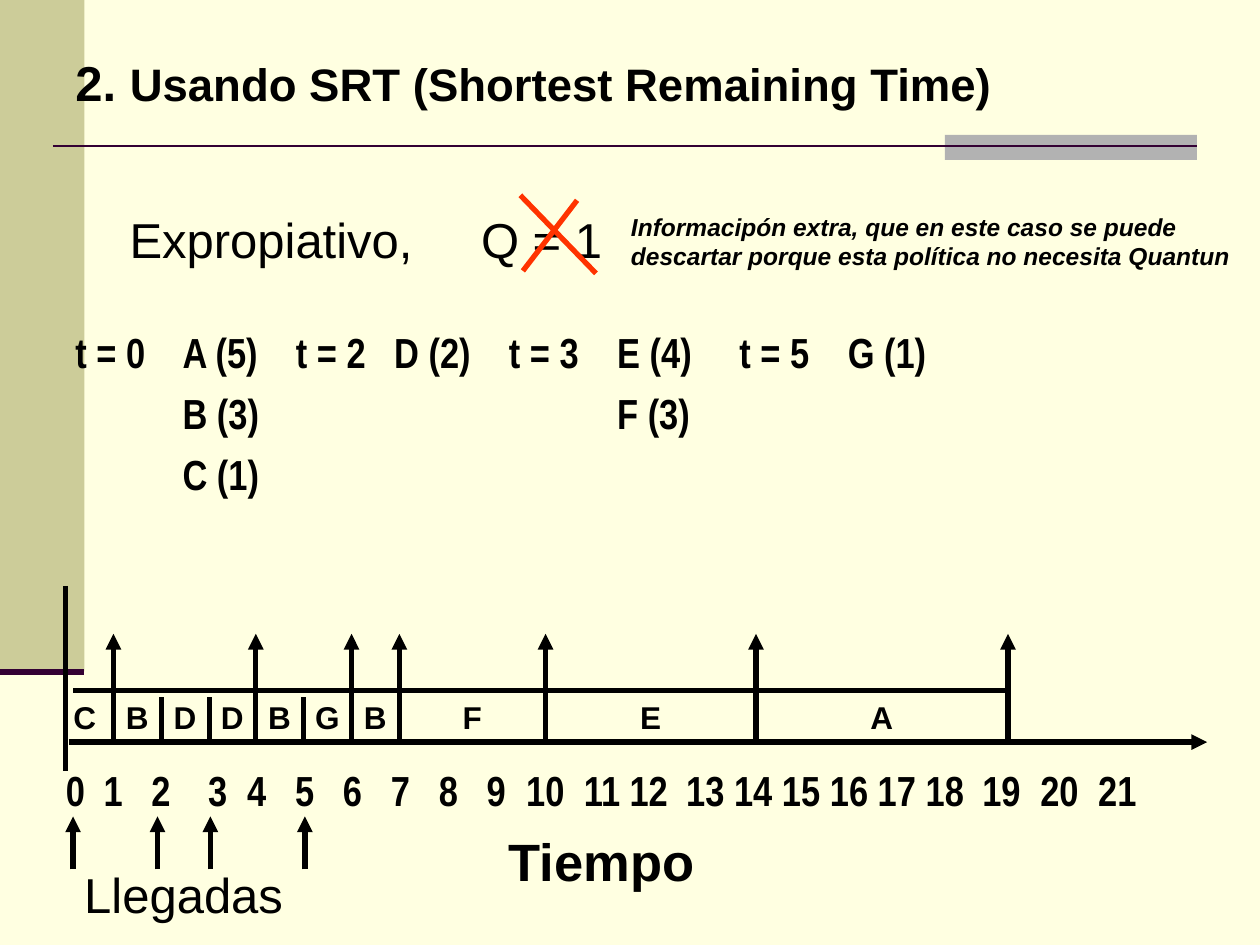
from dataclasses import dataclass

from lxml.etree import SubElement
from pptx import Presentation
from pptx.dml.color import RGBColor
from pptx.enum.shapes import MSO_CONNECTOR, MSO_SHAPE
from pptx.oxml.ns import qn
from pptx.util import Inches, Pt

COLORS = {
    "background": "FFFFE1",
    "band": "CCCC99",
    "accent": "B2B2B2",
    "rule": "330033",
    "cross": "FF3300",
    "ink": "000000",
}
INSET = 0.1


@dataclass
class Slot:
    process: str
    end: float
    finishes: bool = True


@dataclass
class Line:
    """One paragraph; tabs are inches from the text's left edge."""
    text: str
    size: float
    font: str = "Arial"
    bold: bool = True
    italic: bool = False
    tabs: tuple = ()
    tab_align: str = "l"
    before: float = 0
    spacing: float = 1.0


SLOTS = [
    Slot("C", 0.9), Slot("B", 1.28, False), Slot("D", 1.66, False),
    Slot("D", 2.03), Slot("B", 2.41, False), Slot("G", 2.79),
    Slot("B", 3.17), Slot("F", 4.33), Slot("E", 6), Slot("A", 8),
]
CHART_START = 0.45
TIME_CENTERS = [
    0.6, 0.9, 1.28, 1.73, 2.04, 2.42, 2.8, 3.18, 3.56, 3.94, 4.33,
    4.78, 5.15, 5.6, 5.98, 6.36, 6.74, 7.12, 7.5, 7.95, 8.41, 8.87,
]
ARRIVALS = [0.58, 1.25, 1.67, 2.42]
ARRIVAL_TABS = (0.85, 1.75, 2.53, 3.44, 4.3, 5.27, 6.13)


def color(name: str) -> RGBColor:
    return RGBColor.from_string(COLORS[name])


def add_block(slide, left: float, top: float, width: float, height: float, fill: str) -> None:
    shape = slide.shapes.add_shape(
        MSO_SHAPE.RECTANGLE, Inches(left), Inches(top), Inches(width), Inches(height))
    shape.shadow.inherit = False
    shape.fill.solid()
    shape.fill.fore_color.rgb = color(fill)
    shape.line.fill.background()


def add_line(slide, start: tuple, end: tuple, ink: str = "ink",
             width: float = 3, arrow: bool = False) -> None:
    connector = slide.shapes.add_connector(
        MSO_CONNECTOR.STRAIGHT, *(Inches(value) for value in (*start, *end)))
    connector.line.color.rgb = color(ink)
    connector.line.width = Pt(width)
    if arrow:
        SubElement(connector.line._get_or_add_ln(), qn("a:tailEnd"), type="triangle")
    SubElement(connector._element.spPr, qn("a:effectLst"))


def add_tabs(paragraph, line: Line) -> None:
    tab_list = SubElement(paragraph._p.get_or_add_pPr(), qn("a:tabLst"))
    for position in line.tabs:
        SubElement(tab_list, qn("a:tab"), pos=str(Inches(position)), algn=line.tab_align)


def add_text(slide, left: float, top: float, width: float, height: float, lines: list):
    box = slide.shapes.add_textbox(Inches(left), Inches(top), Inches(width), Inches(height))
    frame = box.text_frame
    frame.word_wrap = True
    frame.text = "\n".join(line.text for line in lines)
    for paragraph, line in zip(frame.paragraphs, lines):
        if line.tabs:
            add_tabs(paragraph, line)
        if line.before:
            paragraph.space_before = Pt(line.before)
        paragraph.line_spacing = line.spacing
        for run in paragraph.runs:
            run.font.name = line.font
            run.font.size = Pt(line.size)
            run.font.bold = line.bold
            run.font.italic = line.italic
            run.font.color.rgb = color("ink")
    return frame


def add_centered_labels(slide, left: float, top: float, width: float, height: float,
                        labels: list, centers: list, size: float, font: str) -> None:
    """Put each label on a centred tab stop at its slide position."""
    tabs = tuple(center - left - INSET for center in centers)
    text = "".join(f"\t{label}" for label in labels)
    add_text(slide, left, top, width, height,
             [Line(text, size, font, tabs=tabs, tab_align="ctr")])


def add_background(slide) -> None:
    slide.background.fill.solid()
    slide.background.fill.fore_color.rgb = color("background")
    add_block(slide, 0, 0, 0.67, 5.33, "band")
    add_block(slide, 7.5, 1.07, 2, 0.2, "accent")
    add_line(slide, (0.42, 1.16), (9.5, 1.16), "rule", 1.5)
    add_line(slide, (0, 5.33), (0.67, 5.33), "rule", 3.5)


def add_problem(slide) -> None:
    def arrival(text: str, before: float = 6) -> Line:
        return Line(text, 24, "Arial Narrow", tabs=ARRIVAL_TABS, before=before)

    frame = add_text(slide, 0.5, 0.42, 9.45, 3.84, [
        Line("2. ", 28, spacing=0.9),
        Line("\tExpropiativo,\tQ = 1", 28, bold=False, tabs=(0.43, 3.22),
             before=62, spacing=0.8),
        arrival("t = 0\tA (5)\tt = 2\tD (2)\tt = 3\tE (4)\tt = 5\tG (1)", 33.5),
        arrival("\tB (3)\t\t\t\tF (3)"),
        arrival("\tC (1)"),
    ])
    title = frame.paragraphs[0].add_run()
    title.text = "Usando SRT (Shortest Remaining Time)"
    title.font.name = "Arial"
    title.font.size = Pt(26)
    title.font.bold = True
    title.font.color.rgb = color("ink")

    add_line(slide, (4.13, 1.55), (4.73, 2.17), "cross")
    add_line(slide, (4.58, 1.59), (4.15, 2.15), "cross")
    add_text(slide, 4.91, 1.63, 5, 0.57, [
        Line("Informacipón extra, que en este caso se puede", 14, italic=True),
        Line("descartar porque esta política no necesita Quantun", 14, italic=True),
    ])


def add_timeline(slide) -> None:
    add_line(slide, (0.55, 5.89), (9.58, 5.89), arrow=True)
    add_line(slide, (0.52, 4.65), (0.52, 6.12))
    add_line(slide, (0.58, 5.48), (8, 5.48))
    for slot in SLOTS:
        top = 5.03 if slot.finishes else 5.53
        add_line(slide, (slot.end, 5.87), (slot.end, top), arrow=slot.finishes)

    starts = [CHART_START] + [slot.end for slot in SLOTS[:-1]]
    middles = [(start + slot.end) / 2 for start, slot in zip(starts, SLOTS)]
    add_centered_labels(slide, 0.3, 5.49, 7.2, 0.4,
                        [slot.process for slot in SLOTS], middles, 18, "Arial")
    add_centered_labels(slide, 0.27, 6.02, 9, 0.5,
                        list(range(len(TIME_CENTERS))), TIME_CENTERS, 24, "Arial Narrow")

    add_text(slide, 3.94, 6.53, 1.75, 0.6, [Line("Tiempo", 30)])
    for arrival in ARRIVALS:
        add_line(slide, (arrival, 6.9), (arrival, 6.48), arrow=True)
    add_text(slide, 0.57, 6.81, 1.85, 0.57, [Line("Llegadas", 28, bold=False)])


def main() -> None:
    presentation = Presentation()
    presentation.slide_width = Inches(10)
    presentation.slide_height = Inches(7.5)
    slide = presentation.slides.add_slide(presentation.slide_layouts[6])
    add_background(slide)
    add_problem(slide)
    add_timeline(slide)
    presentation.save("out.pptx")


if __name__ == "__main__":
    main()
